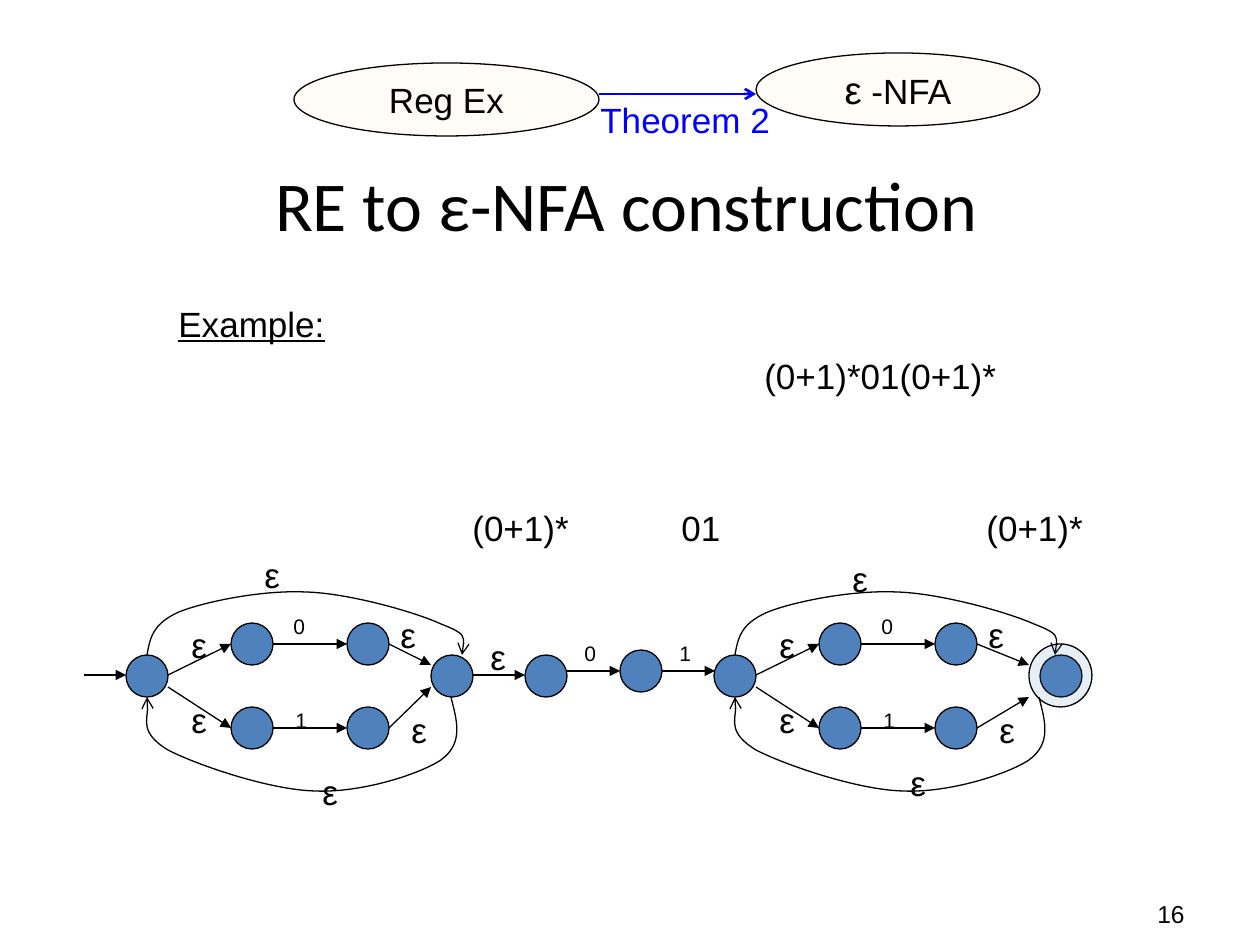
from lxml.etree import SubElement
from pptx import Presentation
from pptx.dml.color import RGBColor
from pptx.enum.shapes import MSO_CONNECTOR as Connector, MSO_SHAPE as Shape
from pptx.enum.text import MSO_ANCHOR as Anchor, PP_ALIGN as Align
from pptx.oxml.ns import qn
from pptx.util import Pt

SCALE = 914400 / 126
BLACK = RGBColor(0x00, 0x00, 0x00)
BLUE = RGBColor(0x00, 0x00, 0xFF)
PEACH = RGBColor(0xFF, 0xCC, 0x99)
NODE_BLUE = RGBColor(0x4F, 0x81, 0xBD)
NODE = 42
LOOP_BACK = [(325, 107), (331, 131), (338, 153), (315, 170), (292, 185),
             (234, 203), (189, 201), (144, 200), (71, 175), (42, 160),
             (14, 143), (24, 116), (21, 107)]
LOOP_FORWARD = [(21, 65), (24, 49), (26, 34), (53, 22), (78, 12),
                (135, 0), (179, 2), (222, 3), (289, 22), (315, 34),
                (341, 44), (339, 54), (336, 65)]


def emu(*lengths):
    return [round(length * SCALE) for length in lengths]


def assign(target, **values):
    for name, value in values.items():
        setattr(target, name, value)


def write(frame, runs, color=BLACK, align=Align.LEFT, font="Arial", underline=None):
    paragraph = frame.paragraphs[0]
    paragraph.alignment = align
    for text, size in runs:
        run = paragraph.add_run()
        run.text = text
        assign(run.font, name=font, size=Pt(size), underline=underline)
        run.font.color.rgb = color


def add_text(slide, box, text, size=20, wrap=False, anchor=Anchor.TOP, **style):
    frame = slide.shapes.add_textbox(*emu(*box)).text_frame
    assign(frame, word_wrap=wrap, vertical_anchor=anchor)
    write(frame, [(text, size)], **style)


def set_line(shape, color=BLACK, width=0.75, arrow=None):
    shape.line.color.rgb = color
    shape.line.width = Pt(width)
    if arrow:
        SubElement(shape.line._get_or_add_ln(), qn("a:tailEnd"), type=arrow)


def add_ellipse(slide, box, color=NODE_BLUE, alpha=None):
    ellipse = slide.shapes.add_shape(Shape.OVAL, *emu(*box))
    ellipse.shadow.inherit = False
    ellipse.fill.solid()
    ellipse.fill.fore_color.rgb = color
    if alpha:
        fill_color = ellipse.fill._xPr.find(qn("a:solidFill"))[0]
        SubElement(fill_color, qn("a:alpha"), val=str(alpha * 1000))
    set_line(ellipse)
    return ellipse


def add_node(slide, left, top):
    add_ellipse(slide, (left, top, NODE, NODE))


def add_arrow(slide, start, end, color=BLACK, width=0.75, arrow="triangle"):
    line = slide.shapes.add_connector(Connector.STRAIGHT, *emu(*start, *end))
    set_line(line, color, width, arrow)
    SubElement(line._element.spPr, qn("a:effectLst"))


def add_curve(slide, points):
    builder = slide.shapes.build_freeform(*points[0], scale=SCALE)
    builder.add_line_segments(points[1:], close=False)
    curve = builder.convert_to_shape()
    curve.shadow.inherit = False
    curve.fill.background()
    set_line(curve, arrow="arrow")
    outline = next(curve._element.iter(qn("a:path")))
    segments = outline.findall(qn("a:lnTo"))
    for first in range(0, len(segments), 3):
        bezier = SubElement(outline, qn("a:cubicBezTo"))
        for segment in segments[first:first + 3]:
            bezier.append(segment[0])
            outline.remove(segment)


def add_epsilon(slide, left, top):
    add_text(slide, (left, top, 40, 54), "ε")


def add_digit(slide, left, top, digit):
    add_text(slide, (left, top, 37, 38), digit, 12)


def add_header(slide, left, top):
    for x, y, width, runs in ((462, 0, 284, [("ε", 22), (" -NFA", 20)]),
                              (0, 10, 305, [("Reg Ex", 20)])):
        ellipse = add_ellipse(slide, (left + x, top + y, width, 73), PEACH, 8)
        assign(ellipse.text_frame, word_wrap=False, vertical_anchor=Anchor.MIDDLE)
        write(ellipse.text_frame, runs, align=Align.CENTER)
    add_arrow(slide, (left + 305, top + 41), (left + 462, top + 41), BLUE, 1.5, "arrow")
    add_text(slide, (left + 294, top + 39, 195, 54), "Theorem 2", color=BLUE)


def add_title(slide, left, top, width, height):
    title = slide.shapes.title
    box = dict(zip(("left", "top", "width", "height"), emu(left, top, width, height)))
    assign(title, **box)
    assign(title.text_frame, word_wrap=True, vertical_anchor=Anchor.TOP,
           margin_left=0, margin_top=0, margin_right=0, margin_bottom=0)
    write(title.text_frame, [("RE to ε-NFA construction", 40)], font="Calibri")


def add_expressions(slide, left, top):
    add_text(slide, (left, top, 171, 54), "Example:", underline=True)
    for x, y, text in ((586, 52, "(0+1)*01(0+1)*"), (294, 204, "(0+1)*"),
                       (503, 204, "01"), (808, 204, "(0+1)*")):
        add_text(slide, (left + x, top + y, 280, 54), text, wrap=True)


def add_star(slide, left, top, accepting=False):
    def at(x, y):
        return left + x, top + y

    end = 326 if accepting else 305
    edge = 315 if accepting else 305
    for x, y in ((0, 65), (105, 33), (105, 117), (221, 33), (221, 117), (end, 65)):
        add_node(slide, *at(x, y))
    for start, finish in (((42, 85), (105, 54)), ((42, 97), (105, 138)),
                          ((147, 54), (221, 54)), ((147, 138), (221, 138)),
                          ((263, 54), (edge, 75)),
                          ((263, 138), (edge, 107 if accepting else 97))):
        add_arrow(slide, at(*start), at(*finish))
    add_digit(slide, *at(155, 17), "0")
    add_digit(slide, *at(157, 111), "1")
    for x, y in ((53, 27), (53, 102), (262, 17), (273, 112),
                 (184, 165 if accepting else 174), (126, -39 if accepting else -43)):
        add_epsilon(slide, *at(x, y))
    stretch = 320 / 315 if accepting else 1
    add_curve(slide, [at(*point) for point in LOOP_BACK])
    add_curve(slide, [at(round(21 + (x - 21) * stretch), y) for x, y in LOOP_FORWARD])
    if accepting:
        add_ellipse(slide, (*at(315, 54), 63, 63), alpha=13)


def add_link(slide, left, top):
    add_arrow(slide, (left, top + 46), (left + 53, top + 46))
    add_epsilon(slide, left + 6, top)
    for x, y, digit in ((53, 26, "0"), (148, 21, "1")):
        add_node(slide, left + x, top + y)
        add_arrow(slide, (left + x + NODE, top + 42), (left + x + 95, top + 42))
        add_digit(slide, left + x + 47, top + 5, digit)


def main():
    presentation = Presentation()
    width, height = emu(1260, 945)
    assign(presentation, slide_width=width, slide_height=height)
    slide = presentation.slides.add_slide(presentation.slide_layouts[5])
    add_text(slide, (935, 872, 262, 63), "16", 14, True, Anchor.BOTTOM, align=Align.RIGHT)
    add_title(slide, 275, 161, 709, 171)
    add_header(slide, 294, 53)
    add_expressions(slide, 166, 296)
    add_arrow(slide, (84, 675), (126, 675))
    add_star(slide, 126, 590)
    add_link(slide, 472, 629)
    add_star(slide, 714, 590, accepting=True)
    presentation.save("out.pptx")


if __name__ == "__main__":
    main()
